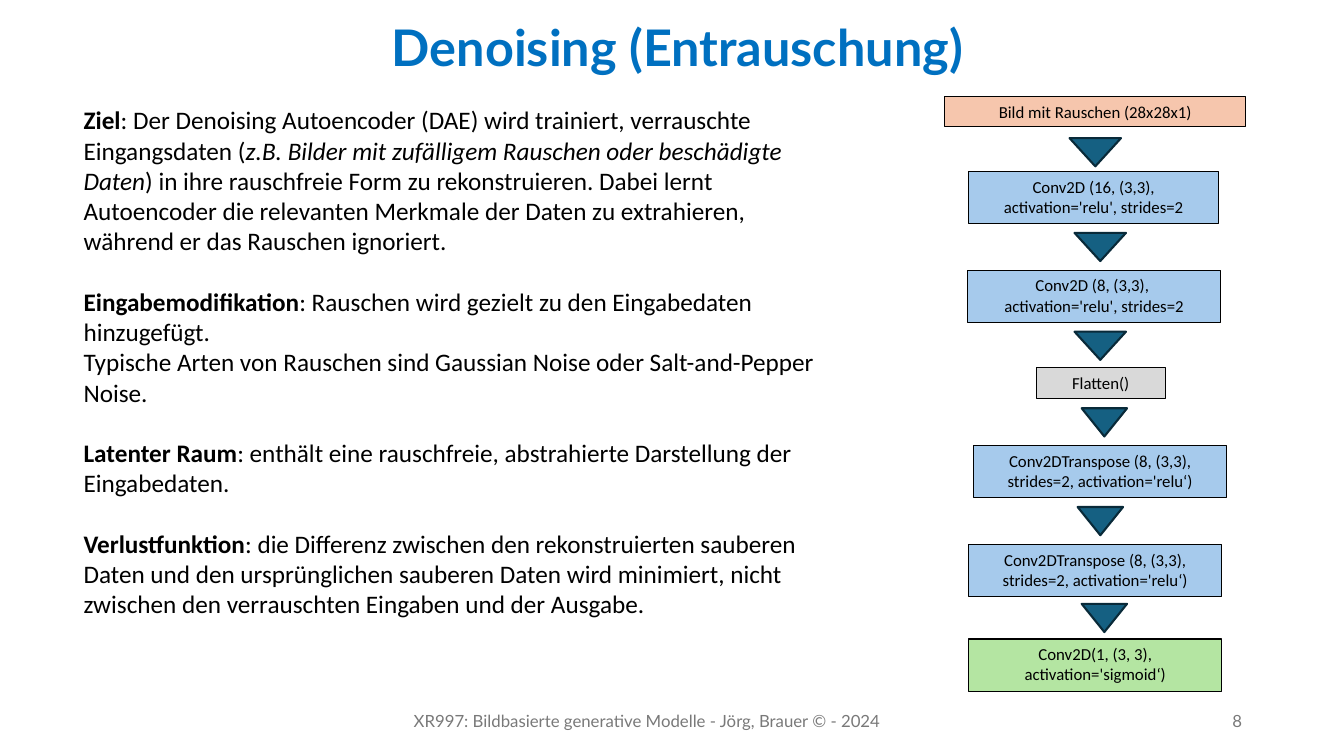
from dataclasses import dataclass

from pptx import Presentation
from pptx.dml.color import RGBColor
from pptx.enum.shapes import MSO_SHAPE
from pptx.enum.text import MSO_ANCHOR, PP_ALIGN
from pptx.util import Inches, Length, Pt

RECT, WEDGE = MSO_SHAPE.RECTANGLE, MSO_SHAPE.ISOSCELES_TRIANGLE
TOP, MIDDLE = MSO_ANCHOR.TOP, MSO_ANCHOR.MIDDLE
LEFT, CENTER, RIGHT = PP_ALIGN.LEFT, PP_ALIGN.CENTER, PP_ALIGN.RIGHT

BLACK = RGBColor(0x00, 0x00, 0x00)
BLUE = RGBColor(0x00, 0x70, 0xC0)
GRAY = RGBColor(0x79, 0x79, 0x79)
PEACH = RGBColor(0xF6, 0xC6, 0xAD)
SKY = RGBColor(0xA6, 0xCA, 0xEC)
SILVER = RGBColor(0xD9, 0xD9, 0xD9)
GREEN = RGBColor(0xB4, 0xE5, 0xA2)
TEAL = RGBColor(0x15, 0x60, 0x82)
NAVY = RGBColor(0x09, 0x2A, 0x39)

WIDTH, HEIGHT = Inches(13.33), Inches(7.5)
ONE_LINE, TWO_LINES, WEDGE_HIGH = 4, 6.93, 3.73

TITLE = {"name": "Lato", "size": Pt(36), "bold": True}
FOOTER = {"name": "Lato", "size": Pt(12)}
BODY = {"name": "Calibri", "size": Pt(18)}
LABEL = {"name": "Calibri", "size": Pt(12)}
BOLD, SLANT, PLAIN = {"bold": True}, {"italic": True}, {}


@dataclass
class Area:
    """Left, top, width and height in percent of the slide."""
    left: float
    top: float
    wide: float
    high: float

    def place(self) -> tuple[Length, ...]:
        return (across(self.left), down(self.top),
                across(self.wide), down(self.high))


@dataclass
class Layer:
    area: Area
    text: str
    fill: RGBColor


@dataclass
class Passage:
    gap: float
    runs: list[tuple[str, dict]]


LAYERS = [
    Layer(Area(70.28, 12.8, 22.43, ONE_LINE), "Bild mit Rauschen (28x28x1)", PEACH),
    Layer(Area(72.08, 22.67, 18.6, TWO_LINES),
          "Conv2D (16, (3,3), activation='relu', strides=2", SKY),
    Layer(Area(72, 35.73, 18.83, TWO_LINES),
          "Conv2D (8, (3,3), \nactivation='relu', strides=2", SKY),
    Layer(Area(77.1, 48.67, 9.6, ONE_LINE), "Flatten()", SILVER),
    Layer(Area(72.45, 58.93, 18.83, TWO_LINES),
          "Conv2DTranspose (8, (3,3), strides=2, activation='relu‘)", SKY),
    Layer(Area(72.08, 72, 18.83, TWO_LINES),
          "Conv2DTranspose (8, (3,3), strides=2, activation='relu‘)", SKY),
    Layer(Area(72.08, 84.53, 18.83, TWO_LINES),
          "Conv2D(1, (3, 3), activation='sigmoid‘)", GREEN),
]

WEDGES = [Area(left, top, wide, WEDGE_HIGH) for left, top, wide in [
    (79.58, 18.27, 3.83), (79.95, 30.8, 3.83), (79.95, 43.87, 3.83),
    (80.48, 54, 3.38), (80.18, 67.07, 3.38), (80.48, 79.87, 3.38)]]

PASSAGES = [
    Passage(0, [
        ("Ziel", BOLD),
        (": Der Denoising Autoencoder (DAE) wird trainiert, verrauschte "
         "Eingangsdaten (", PLAIN),
        ("z.B. Bilder mit zufälligem Rauschen oder beschädigte Daten", SLANT),
        (") in ihre rauschfreie Form zu rekonstruieren. Dabei lernt Autoencoder "
         "die relevanten Merkmale der Daten zu extrahieren, während er das "
         "Rauschen ignoriert.", PLAIN)]),
    Passage(21.6, [
        ("Eingabemodifikation", BOLD),
        (": Rauschen wird gezielt zu den Eingabedaten hinzugefügt.", PLAIN)]),
    Passage(0, [
        ("Typische Arten von Rauschen sind Gaussian Noise oder "
         "Salt-and-Pepper Noise.", PLAIN)]),
    Passage(21.6, [
        ("Latenter Raum", BOLD),
        (": enthält eine rauschfreie, abstrahierte Darstellung der "
         "Eingabedaten.", PLAIN)]),
    Passage(21.6, [
        ("Verlustfunktion", BOLD),
        (": die Differenz zwischen den rekonstruierten sauberen Daten und den "
         "ursprünglichen sauberen Daten wird minimiert, nicht zwischen den "
         "verrauschten Eingaben und der Ausgabe.", PLAIN)]),
]


def across(share: float) -> Length:
    return Length(round(WIDTH * share / 100))


def down(share: float) -> Length:
    return Length(round(HEIGHT * share / 100))


def style(font, form: dict, color: RGBColor) -> None:
    for key, value in form.items():
        setattr(font, key, value)
    font.color.rgb = color


def write(frame, text: str, form: dict, color: RGBColor, align, anchor=TOP):
    """Fill a text frame with one paragraph and return that paragraph."""
    frame.word_wrap = True
    frame.vertical_anchor = anchor
    para = frame.paragraphs[0]
    para.text = text
    para.alignment = align
    for run in para.runs:
        style(run.font, form, color)
    return para


def add_text(slide, area: Area, text: str, form: dict, color: RGBColor,
             align, anchor=TOP):
    box = slide.shapes.add_textbox(*area.place())
    return write(box.text_frame, text, form, color, align, anchor)


def add_block(slide, kind, area: Area, fill: RGBColor, edge: RGBColor,
              weight: float):
    block = slide.shapes.add_shape(kind, *area.place())
    block.shadow.inherit = False
    block.fill.solid()
    block.fill.fore_color.rgb = fill
    block.line.color.rgb = edge
    block.line.width = Pt(weight)
    return block


def add_body(slide, area: Area) -> None:
    frame = slide.shapes.add_textbox(*area.place()).text_frame
    frame.word_wrap = True
    for index, passage in enumerate(PASSAGES):
        para = frame.add_paragraph() if index else frame.paragraphs[0]
        para.alignment = LEFT
        para.space_before = Pt(passage.gap)
        for text, extra in passage.runs:
            run = para.add_run()
            run.text = text
            style(run.font, BODY | extra, BLACK)


def main() -> None:
    deck = Presentation()
    deck.slide_width, deck.slide_height = WIDTH, HEIGHT
    slide = deck.slides.add_slide(deck.slide_layouts[6])

    title = add_text(slide, Area(7.28, 2.4, 86.25, 10.4),
                     "Denoising (Entrauschung)", TITLE, BLUE, CENTER)
    title.line_spacing = 0.9
    add_text(slide, Area(29.4, 92.67, 37.5, 5.33),
             "XR997: Bildbasierte generative Modelle - Jörg, Brauer © - 2024",
             FOOTER, GRAY, CENTER, MIDDLE)
    add_text(slide, Area(70.65, 92.67, 22.5, 5.33), "8",
             FOOTER, GRAY, RIGHT, MIDDLE)

    for layer in LAYERS:
        block = add_block(slide, RECT, layer.area, layer.fill, BLACK, 0.75)
        write(block.text_frame, layer.text, LABEL, BLACK, CENTER)
    for area in WEDGES:
        add_block(slide, WEDGE, area, TEAL, NAVY, 1.5).rotation = 180

    add_body(slide, Area(5.48, 13.2, 57.23, 70))
    deck.save("out.pptx")


if __name__ == "__main__":
    main()
